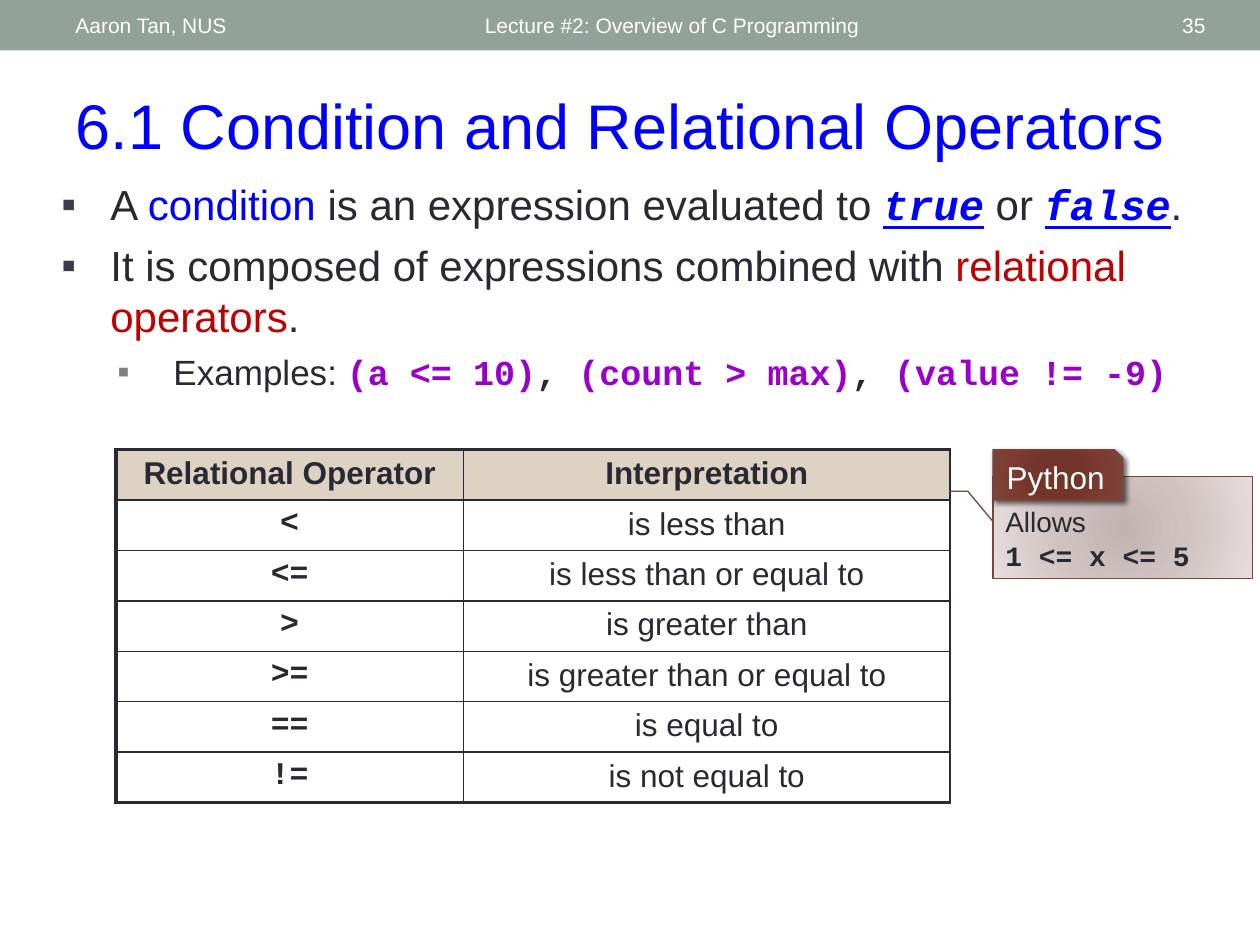
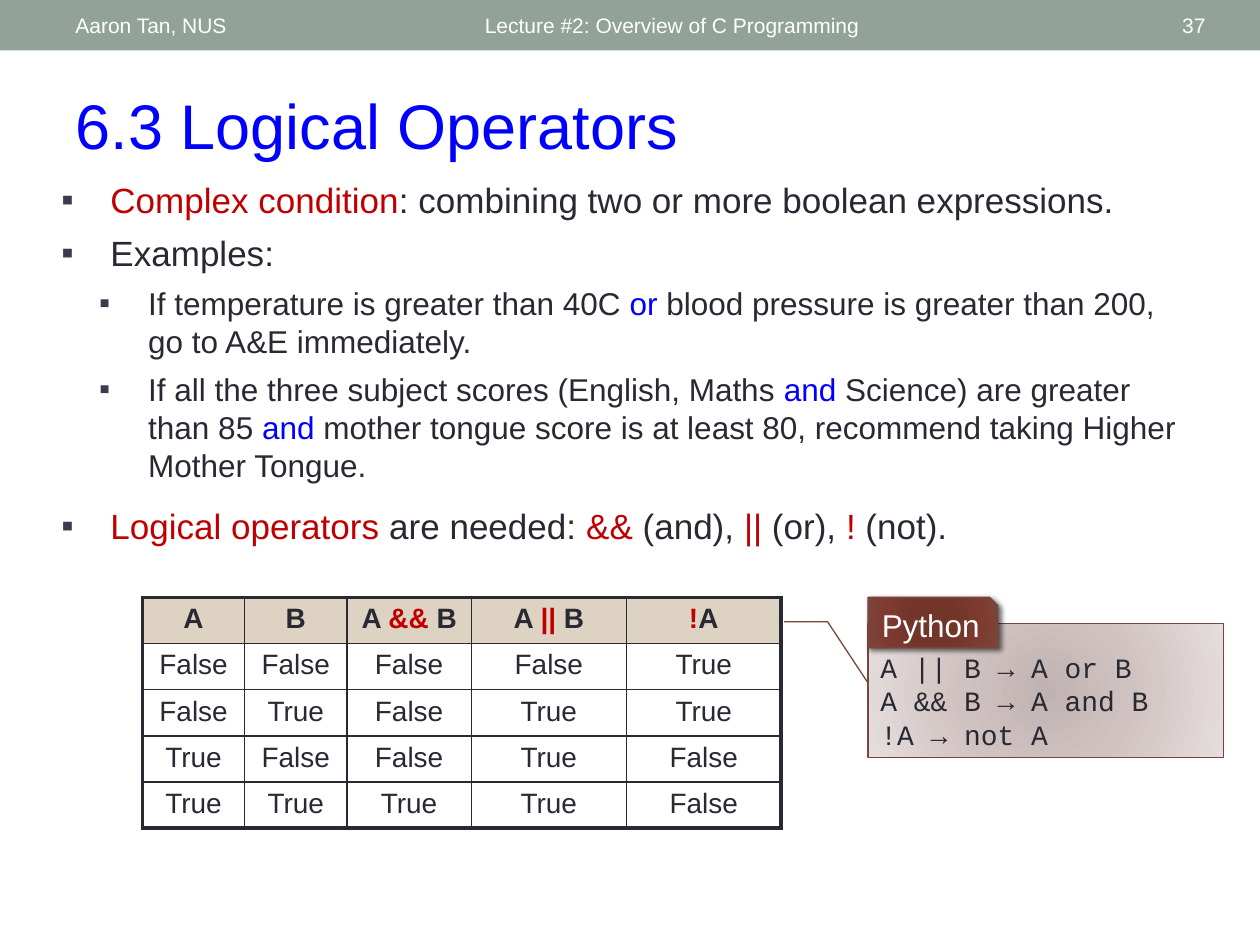
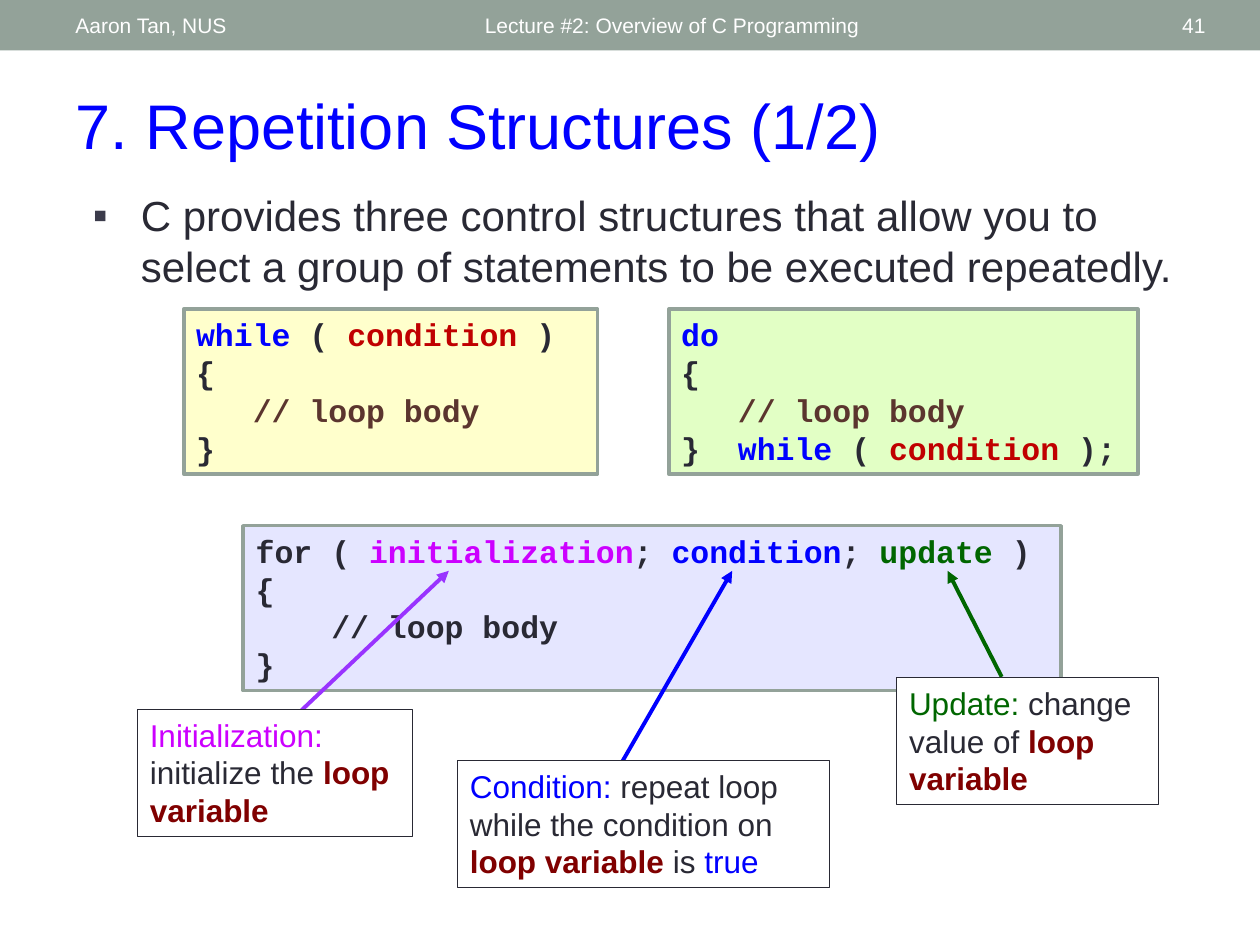
import pptx
import pptx.util
import pptx.dml.color
import pptx.enum.shapes
import pptx.enum.text
import pptx.oxml
import pptx.oxml.ns

Pt = pptx.util.Pt
SHAPE = pptx.enum.shapes.MSO_SHAPE
ANCHOR = pptx.enum.text.MSO_ANCHOR
LEFT, CENTER, RIGHT = (pptx.enum.text.PP_ALIGN.LEFT, pptx.enum.text.PP_ALIGN.CENTER,
                       pptx.enum.text.PP_ALIGN.RIGHT)
NS = pptx.oxml.ns.nsdecls("a")

# Shared colours and run styles
INK, BAND, RUST, SAND, WHITE = "292934", "93A299", "79463D", "DED2C2", "FFFFFF"
BLUE, RED, PURPLE = dict(color="0000FF"), dict(color="C00000"), dict(color="9900CC")
MAGENTA, GREEN, BROWN = dict(color="CC00FF"), dict(color="006600"), dict(color="5B352E")
MONO = dict(name="Courier New", bold=True)
VALUE = MONO | BLUE | dict(italic=True, underline=True)
LOOP_VAR = dict(color="800000", bold=True)


def rgb(code):
    return pptx.dml.color.RGBColor.from_string(code)


def write(tf, paras, size, anchor=ANCHOR.TOP, align=LEFT, **base):
    """Fill a text frame; a run is a string or a (string, style) pair."""
    tf.word_wrap = True
    tf.auto_size = pptx.enum.text.MSO_AUTO_SIZE.NONE
    tf.vertical_anchor = anchor
    for i, runs in enumerate(paras):
        p = tf.add_paragraph() if i else tf.paragraphs[0]
        p.alignment = align
        for run in runs:
            text, style = (run, {}) if isinstance(run, str) else run
            r = p.add_run()
            r.text = text
            fmt = dict(name="Arial", size=Pt(size), bold=False, color=INK) | base | style
            r.font.color.rgb = rgb(fmt.pop("color"))
            for key, value in fmt.items():
                setattr(r.font, key, value)


prs = pptx.Presentation()
prs.slide_width, prs.slide_height = Pt(720), Pt(540)

# Band, footers and title of every slide
slides = []
for title, number in [("6.1 Condition and Relational Operators", "35"),
                      ("6.3 Logical Operators", "37"),
                      ("7. Repetition Structures (1/2)", "41")]:
    s = prs.slides.add_slide(prs.slide_layouts[5])
    slides.append(s)
    band = s.shapes.add_shape(SHAPE.RECTANGLE, 0, 0, Pt(720), Pt(28.8))
    band.shadow.inherit = False
    band.fill.solid()
    band.fill.fore_color.rgb = rgb(BAND)
    band.line.fill.background()
    for x, w, text, align in [(270, 324, "Lecture #2: Overview of C Programming", LEFT),
                              (36, 228, "Aaron Tan, NUS", LEFT),
                              (627.6, 68.4, number, RIGHT)]:
        box = s.shapes.add_textbox(Pt(x), Pt(1.5), Pt(w), Pt(26))
        write(box.text_frame, [[text]], 12, ANCHOR.MIDDLE, align, color=WHITE)
    sp = s.shapes.title
    sp.left, sp.top, sp.width, sp.height = Pt(36), Pt(46), Pt(669), Pt(51)
    write(sp.text_frame, [[title]], 36, **BLUE)
conditions, logic, loops = slides

# Bulleted text: each item is left margin, hanging indent, space before, size, runs
bullets = [
    (conditions, (28, 98.6, 661, 144), [
        (28, 28, 0, 24, ["A ", ("condition", BLUE), " is an expression evaluated to ",
                         ("true", VALUE), " or ", ("false", VALUE), "."]),
        (28, 28, 6, 24, ["It is composed of expressions combined with ",
                         ("relational operators", RED), "."]),
        (64, 32, 6, 20, ["Examples: ", ("(a <= 10)", MONO | PURPLE), (", ", MONO),
                         ("(count > max)", MONO | PURPLE), (", ", MONO),
                         ("(value != -9)", MONO | PURPLE)])]),
    (logic, (28, 98.6, 661, 229), [
        (28, 28, 0, 20, [("Complex condition", RED),
                         ": combining two or more boolean expressions."]),
        (28, 28, 6, 20, ["Examples:"]),
        (49.6, 28, 6, 18, ["If temperature is greater than 40C ", ("or", BLUE),
                           " blood pressure is greater than 200, go to A&E immediately."]),
        (49.6, 28, 6, 18, ["If all the three subject scores (English, Maths ", ("and", BLUE),
                           " Science) are greater than 85 ", ("and", BLUE),
                           " mother tongue score is at least 80, recommend taking"
                           " Higher Mother Tongue."]),
        (28, 28, 12, 20, [("Logical operators ", RED), "are needed: ", ("&&", RED), " (and), ",
                          ("||", RED), " (or), ", ("!", RED), " (not)."])]),
    (loops, (46, 105, 653, 71), [
        (27.4, 27.4, 0, 24, ["C provides three control structures that allow you to select"
                             " a group of statements to be executed repeatedly."])]),
]
for s, frame, items in bullets:
    tf = s.shapes.add_textbox(*map(Pt, frame)).text_frame
    write(tf, [item[4] for item in items], 24)
    for p, (margin, hang, before, size, runs) in zip(tf.paragraphs, items):
        pPr = p._p.get_or_add_pPr()
        pPr.set("marL", str(Pt(margin)))
        pPr.set("indent", str(-Pt(hang)))
        shade = "808080" if margin == 64 else "3B3B4B"
        for xml in (f'<a:buClr {NS}><a:srgbClr val="{shade}"/></a:buClr>',
                    f'<a:buFont {NS} typeface="Arial"/>', f'<a:buChar {NS} char="▪"/>'):
            pPr.append(pptx.oxml.parse_xml(xml))
        p.space_before = Pt(before)
        for r in p.runs:
            r.font.size = Pt(size)

# Tables: header row, then body rows; outer edges are thick
operators = [("<", "is less than"), ("<=", "is less than or equal to"),
             (">", "is greater than"), (">=", "is greater than or equal to"),
             ("==", "is equal to"), ("!=", "is not equal to")]
relational = [[["Relational Operator"], ["Interpretation"]]]
relational += [[[(sign, MONO)], [meaning]] for sign, meaning in operators]
truth = [[["A"], ["B"], ["A ", ("&&", RED), " B"], ["A ", ("||", RED), " B"],
          [("!", RED), "A"]]]
for a in (False, True):
    for b in (False, True):
        truth.append([[str(v)] for v in (a, b, a and b, a or b, not a)])

for s, x, y, widths, height, size, right_edge, rows in [
        (conditions, 66.2, 257, (198.7, 278), 28.8, 18, 1, relational),
        (logic, 81.4, 341.3, (58.4, 58.4, 71.2, 88.5, 88.5), 26.4, 16, 2.25, truth)]:
    last_row, last_col = len(rows) - 1, len(widths) - 1
    table = s.shapes.add_table(len(rows), len(widths), Pt(x), Pt(y), Pt(sum(widths)),
                               Pt(height * len(rows))).table
    table.first_row = table.horz_banding = False
    for column, w in zip(table.columns, widths):
        column.width = Pt(w)
    for i, row in enumerate(rows):
        table.rows[i].height = Pt(height)
        for j, runs in enumerate(row):
            cell = table.cell(i, j)
            write(cell.text_frame, [runs], size, align=CENTER, bold=i == 0)
            edges = dict(lnL=1 if j else 2.25, lnR=right_edge if j == last_col else 1,
                         lnT=1 if i else 2.25, lnB=2.25 if i == last_row else 1)
            for tag, weight in edges.items():
                cell._tc.get_or_add_tcPr().append(pptx.oxml.parse_xml(
                    f'<a:{tag} {NS} w="{Pt(weight)}"><a:solidFill><a:srgbClr val="{INK}"/>'
                    f'</a:solidFill></a:{tag}>'))
            if i:
                cell.fill.background()
            else:
                cell.fill.solid()
                cell.fill.fore_color.rgb = rgb(SAND)

# Python callouts: a pale note with a leader line, and a dark tag on its corner
pale = [(0, "C0B3B1"), (45, "D0C2C0"), (100, "E5DEDD")]
dark = [(0, "743327"), (34, "72352A"), (70, "7F3B2F"), (100, RUST)]
CODE = dict(name="Courier New")
for s, x, y, w, h, leader, lines in [
        (conditions, 567.4, 257, 148.3, 58.3, (0.444, 0, 0.148, -0.097, 0.149, -0.168),
         [["Allows"], [("1 <= x <= 5", MONO)]]),
        (logic, 496, 341.3, 203, 76.3, (0.444, 0, -0.015, -0.114, -0.014, -0.236),
         [[("A || B → A or B", CODE)], [("A && B → A and B", CODE)], [("!A → not A", CODE)]])]:
    note = s.shapes.add_shape(SHAPE.LINE_CALLOUT_2, Pt(x), Pt(y + 15.1), Pt(w), Pt(h))
    for i, value in enumerate(leader):
        note.adjustments[i] = value
    write(note.text_frame, lines, 16, ANCHOR.BOTTOM)
    tag = s.shapes.add_shape(SHAPE.SNIP_1_RECTANGLE, Pt(x), Pt(y), Pt(74.2), Pt(28.8))
    write(tag.text_frame, [["Python"]], 18, ANCHOR.MIDDLE, CENTER, color=WHITE)
    tag.text_frame.word_wrap = False
    for sp, stops in [(note, pale), (tag, dark)]:
        sp.shadow.inherit = False
        sp.line.color.rgb = rgb(RUST)
        sp.line.width = Pt(0.75)
        gs = "".join(f'<a:gs pos="{pos * 1000}"><a:srgbClr val="{code}"/></a:gs>'
                     for pos, code in stops)
        sp._element.spPr.find(pptx.oxml.ns.qn("a:prstGeom")).addnext(pptx.oxml.parse_xml(
            f'<a:gradFill {NS}><a:gsLst>{gs}</a:gsLst><a:path path="circle">'
            '<a:fillToRect l="100000" t="100000" r="100000" b="100000"/></a:path></a:gradFill>'))
    tag._element.spPr.find(pptx.oxml.ns.qn("a:effectLst")).append(pptx.oxml.parse_xml(
        f'<a:outerShdw {NS} blurRad="{Pt(3)}" dist="{Pt(2)}" dir="2700000" algn="tl"'
        ' rotWithShape="0"><a:srgbClr val="000000"><a:alpha val="60000"/></a:srgbClr>'
        '</a:outerShdw>'))

# Arrows from the notes to the parts of the for loop, drawn over the code boxes
code_boxes = [
    ((105, 176.6, 236.4, 94.3), "FFFFCC", [
        [("while", BLUE), " ( ", ("condition", RED), " )"], ["{"],
        ["   ", ("// loop body", BROWN)], ["}"]]),
    ((382.2, 176.6, 268, 94.3), "E2FFC5", [
        [("do", BLUE)], ["{"], ["   ", ("// loop body", BROWN)],
        ["}  ", ("while", BLUE), " ( ", ("condition ", RED), ");"]]),
    ((139, 300.4, 467.4, 94.3), "E5E6FF", [
        ["for ( ", ("initialization", MAGENTA), "; ", ("condition", BLUE), "; ",
         ("update", GREEN), " )"], ["{"], ["    // loop body"], ["}"]]),
]
notes = [
    ((78.5, 405.4, 157.3, 72.7), (170.6, 407.5, 256.5, 326.2), "9933FF",
     [("Initialization: ", MAGENTA), "initialize the ", ("loop variable", LOOP_VAR)]),
    ((261.4, 434.6, 212.7, 72.7), (341.3, 460, 418.4, 326.2), "0000FF",
     [("Condition: ", BLUE), "repeat loop while the condition on ",
      ("loop variable ", LOOP_VAR), "is ", ("true", BLUE)]),
    ((512.4, 387.2, 149.6, 72.7), (572.4, 386.8, 541.5, 326.2), "006600",
     [("Update: ", GREEN), "change value of ", ("loop variable", LOOP_VAR)]),
]
boxes = [(frame, fill, BAND, 2.08, None, None, lines, MONO) for frame, fill, lines in code_boxes]
boxes += [(frame, WHITE, INK, 0.75, arrow, color, [runs], {})
          for frame, arrow, color, runs in notes]
for frame, fill, edge, weight, arrow, color, lines, base in boxes:
    if arrow:
        line = loops.shapes.add_connector(pptx.enum.shapes.MSO_CONNECTOR.STRAIGHT,
                                          *map(Pt, arrow))
        line.line.color.rgb = rgb(color)
        line.line.width = Pt(2.25)
        line.line._get_or_add_ln().append(
            pptx.oxml.parse_xml(f'<a:tailEnd {NS} type="triangle"/>'))
        line._element.spPr.append(pptx.oxml.parse_xml(f'<a:effectLst {NS}/>'))
    sp = loops.shapes.add_shape(SHAPE.RECTANGLE, *map(Pt, frame))
    sp.shadow.inherit = False
    sp.fill.solid()
    sp.fill.fore_color.rgb = rgb(fill)
    sp.line.color.rgb = rgb(edge)
    sp.line.width = Pt(weight)
    write(sp.text_frame, lines, 18, **base)

prs.save("out.pptx")
